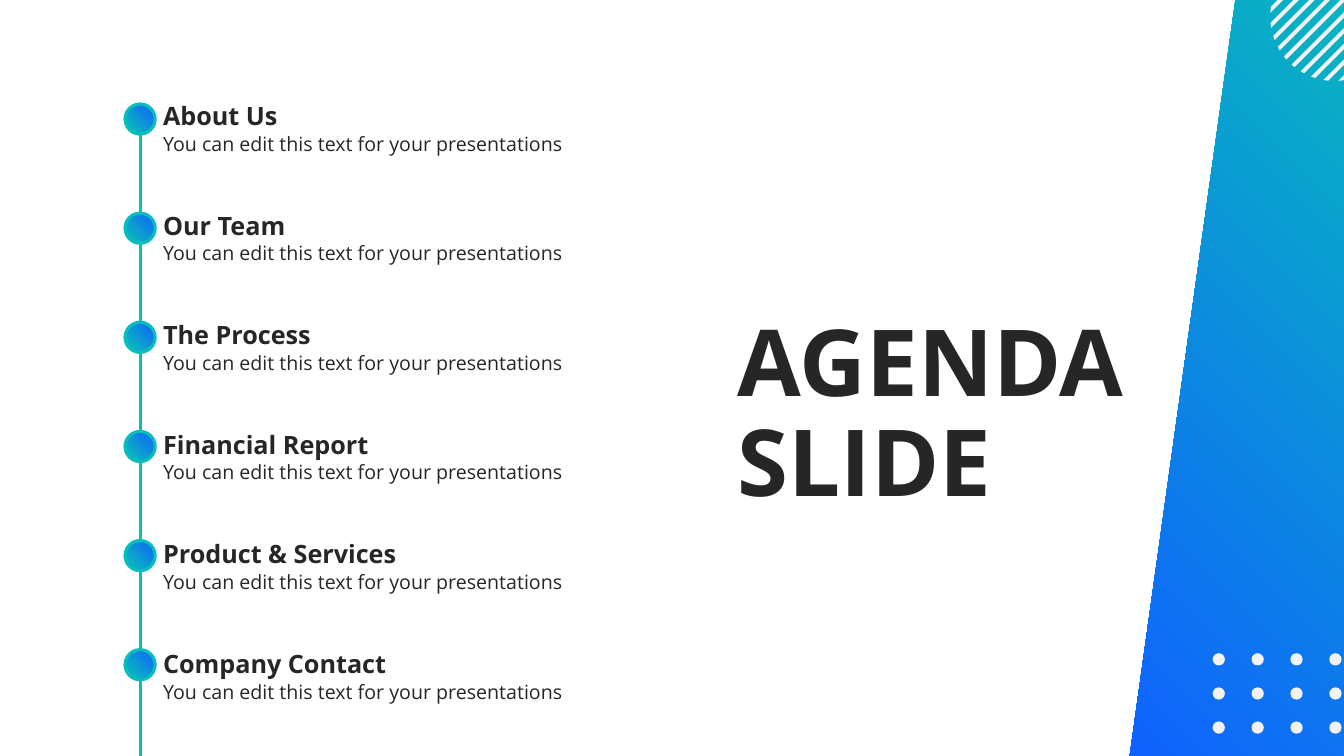
import math
from lxml import etree
from pptx import Presentation
from pptx import util as u
from pptx.dml.color import RGBColor
from pptx.enum import shapes, text
from pptx.oxml.ns import qn

TEAL = RGBColor(0x08, 0xBD, 0xBA)
BLUE = RGBColor(0x0F, 0x62, 0xFE)
INK = RGBColor(0x26, 0x26, 0x26)
PALE = RGBColor(0xF2, 0xF2, 0xF2)

TOPICS = ["About Us", "Our Team", "The Process", "Financial Report",
          "Product & Services", "Company Contact"]
DETAIL = "You can edit this text for your presentations"
STEP = 2.75


class Page:
    font = "Open Sans"
    stroke = u.Pt(2.25)

    def __init__(self, slide):
        self.slide = slide
        self.layer = slide.shapes

    def group(self):
        self.layer = self.slide.shapes.add_group_shape().shapes

    def ungroup(self):
        self.layer = self.slide.shapes

    def style(self, frame, size, bold, space):
        frame.word_wrap = True
        for para in frame.paragraphs:
            para.alignment = text.PP_ALIGN.LEFT
            para.line_spacing = space
            for run in para.runs:
                run.font.name = self.font
                run.font.size = u.Pt(size)
                run.font.bold = bold
                run.font.color.rgb = INK

    def title(self, words, x, y, w, h):
        box = self.slide.shapes.title
        box.left, box.top, box.width, box.height = map(u.Cm, (x, y, w, h))
        frame = box.text_frame
        frame.text = words
        frame.auto_size = text.MSO_AUTO_SIZE.NONE
        frame.vertical_anchor = text.MSO_ANCHOR.TOP
        self.style(frame, 66, True, 0.9)

    def label(self, words, x, y, w, h, size, bold=False):
        frame = self.layer.add_textbox(*map(u.Cm, (x, y, w, h))).text_frame
        frame.text = words
        frame.auto_size = text.MSO_AUTO_SIZE.SHAPE_TO_FIT_TEXT
        self.style(frame, size, bold, 1.5)

    def shape(self, kind, x, y, w, h):
        item = self.layer.add_shape(kind, *map(u.Cm, (x, y, w, h)))
        item.shadow.inherit = False
        item.line.fill.background()
        return item

    def blend(self, item):
        item.fill.gradient()
        item.fill.gradient_angle = 225
        for stop, spot, color in zip(item.fill.gradient_stops, (0.11, 1), (TEAL, BLUE)):
            stop.position = spot
            stop.color.rgb = color

    def panel(self, x, y, w, h, slant):
        item = self.shape(shapes.MSO_SHAPE.PARALLELOGRAM, x, y, w, h)
        item.adjustments[0] = slant
        self.blend(item)

    def marker(self, x, y, size):
        item = self.shape(shapes.MSO_SHAPE.OVAL, x, y, size, size)
        item.rotation = 180
        self.blend(item)
        item.line.color.rgb = TEAL
        item.line.width = self.stroke

    def dot(self, x, y, size):
        item = self.shape(shapes.MSO_SHAPE.OVAL, x, y, size, size)
        item.fill.solid()
        item.fill.fore_color.rgb = PALE

    def line(self, x1, y1, x2, y2):
        item = self.layer.add_connector(
            shapes.MSO_CONNECTOR.STRAIGHT, *map(u.Cm, (x1, y1, x2, y2)))
        item.line.color.rgb = TEAL
        item.line.width = self.stroke
        etree.SubElement(item.element.spPr, qn("a:effectLst"))

    def outline(self, points):
        spots = [(u.Cm(x), u.Cm(y)) for x, y in points]
        pen = self.layer.build_freeform(*spots[0])
        pen.add_line_segments(spots[1:], close=True)
        item = pen.convert_to_shape()
        item.shadow.inherit = False
        item.fill.solid()
        item.fill.fore_color.rgb = PALE
        item.line.fill.background()


def chord(x, y, radius, shift):
    half = math.sqrt(radius ** 2 - shift ** 2)
    root = math.sqrt(2)
    return [(x + (shift + side * half) / root, y + (shift - side * half) / root)
            for side in (-1, 1)]


def agenda(page):
    page.line(3.53, 19.05, 3.53, 2.62)
    for row, topic in enumerate(TOPICS):
        page.marker(3.15, 2.62 + STEP * row, 0.76)
        top = 2.03 + 2.76 * row
        page.group()
        page.label(DETAIL, 3.86, top + 0.87, 11.58, 1.07, 14)
        page.label(topic, 3.86, top, 11.58, 1.3, 18, True)
        page.ungroup()


def decor(page):
    page.panel(28.47, 0, 11.58, 19.05, 0.23)
    page.group()
    for band in range(10):
        mid = (band - 4.5) * 0.28
        near = chord(33.63, 0.42, 1.62, mid - 0.05)
        far = chord(33.63, 0.42, 1.62, mid + 0.05)
        page.outline(near + far[::-1])
    page.group()
    for row in range(3):
        for col in range(4):
            page.dot(30.56 + 0.98 * col, 16.46 + 0.86 * row, 0.31)
    page.ungroup()


def main():
    deck = Presentation()
    deck.slide_width = u.Cm(33.87)
    deck.slide_height = u.Cm(19.05)
    page = Page(deck.slides.add_slide(deck.slide_layouts[5]))
    agenda(page)
    decor(page)
    page.title("AGENDA\nSLIDE", 18.34, 7.85, 15.09, 8.71)
    deck.save("out.pptx")


if __name__ == "__main__":
    main()
